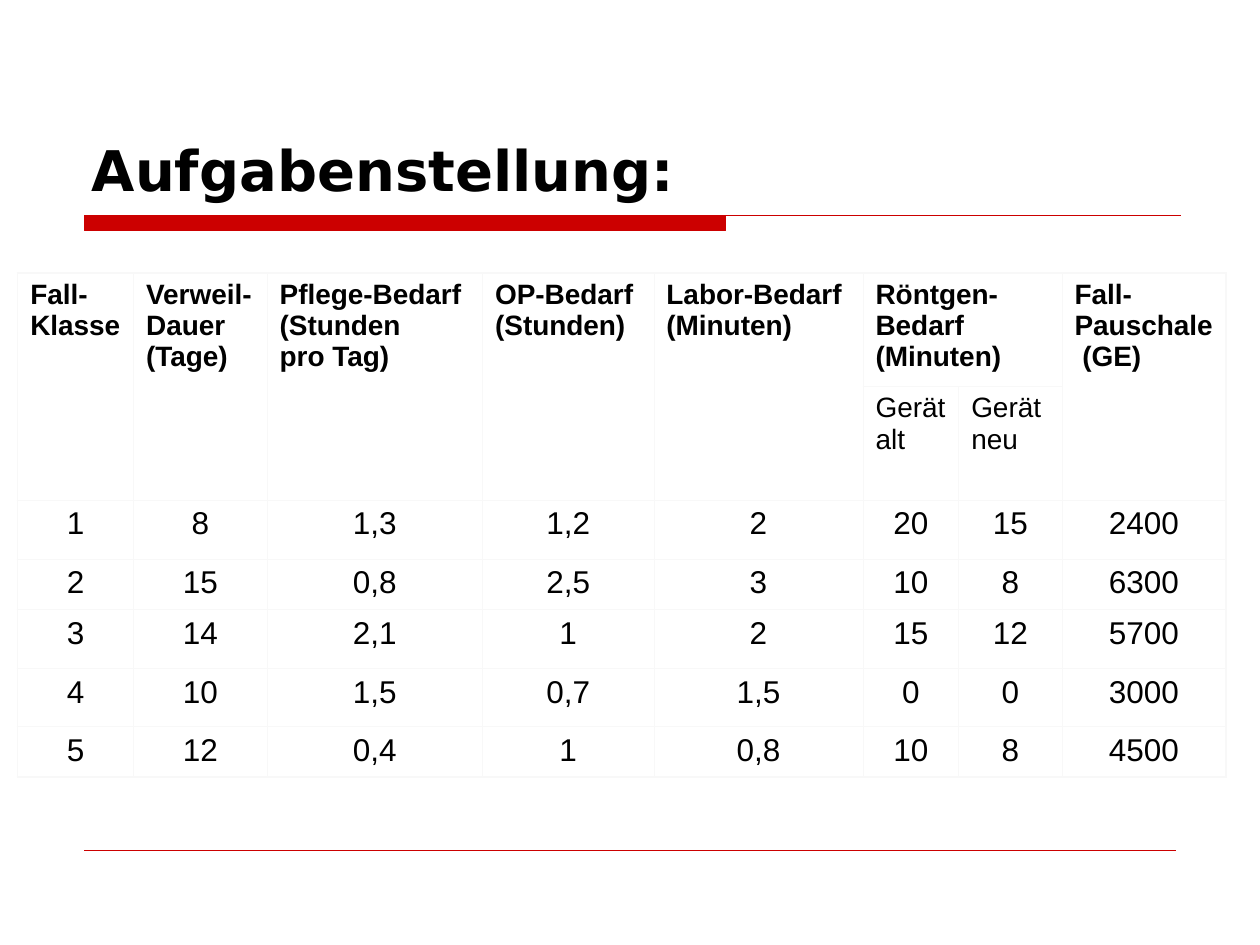
import pptx
import pptx.util
import pptx.dml.color
import pptx.enum.shapes
import pptx.enum.text
import pptx.oxml
import pptx.oxml.ns

THEME = {
    "title": {"name": "DejaVu Sans", "size": pptx.util.Pt(32), "bold": True},
    "head": {"name": "Arial", "size": pptx.util.Pt(16), "bold": True},
    "subhead": {"name": "Arial", "size": pptx.util.Pt(16), "bold": False},
    "body": {"name": "Arial", "size": pptx.util.Pt(18), "bold": False},
    "text": pptx.dml.color.RGBColor.from_string("000000"),
    "accent": pptx.dml.color.RGBColor.from_string("CC0000"),
    "grid": "F8F8F8",
}
INCH = pptx.util.Inches(1)


def write(tf, lines, style, align=pptx.enum.text.PP_ALIGN.LEFT):
    """Fill a text frame with one paragraph per line."""
    for i, line in enumerate(lines):
        p = tf.paragraphs[0] if i == 0 else tf.add_paragraph()
        p.alignment = align
        r = p.add_run()
        r.text = line
        for key, value in THEME[style].items():
            setattr(r.font, key, value)
        r.font.color.rgb = THEME["text"]


def set_borders(cell, widths):
    """Draw the cell's borders; widths maps L, R, T, B to points."""
    tcPr = cell._tc.get_or_add_tcPr()
    for i, (side, width) in enumerate(widths.items()):
        tcPr.insert(i, pptx.oxml.parse_xml(
            f'<a:ln{side} {pptx.oxml.ns.nsdecls("a")} w="{pptx.util.Pt(width)}">'
            f'<a:solidFill><a:srgbClr val="{THEME["grid"]}"/></a:solidFill></a:ln{side}>'))


prs = pptx.Presentation()
prs.slide_width, prs.slide_height = 10 * INCH, int(7.5 * INCH)
W, H = prs.slide_width, prs.slide_height
s = prs.slides.add_slide(prs.slide_layouts[6])

# Red bar that runs on as a thin rule
left, bar_right, rule_right = (int(W * x) for x in (0.067, 0.576, 0.937))
top, bottom = int(H * 0.228), int(H * 0.244)
fb = s.shapes.build_freeform(left, top)
fb.add_line_segments([(bar_right, top), (bar_right, bottom), (left, bottom)], close=True)
fb.move_to(left, top)
fb.add_line_segments([(rule_right, top)], close=False)
sp = fb.convert_to_shape()
sp.shadow.inherit = False
sp.fill.solid()
sp.fill.fore_color.rgb = THEME["accent"]
sp.line.color.rgb = THEME["accent"]
sp.line.width = pptx.util.Pt(0.75)

# Footer rule
y = int(H * 0.9)
rule = s.shapes.add_connector(pptx.enum.shapes.MSO_CONNECTOR.STRAIGHT,
                              left, y, W - left, y)
rule.line.color.rgb = THEME["accent"]
rule.line.width = pptx.util.Pt(0.25)
rule._element.spPr.append(
    pptx.oxml.parse_xml(f'<a:effectLst {pptx.oxml.ns.nsdecls("a")}/>'))

# Title
tf = s.shapes.add_textbox(int(W * 0.063), int(H * 0.044),
                          int(W * 0.875), int(H * 0.177)).text_frame
tf.word_wrap = True
tf.vertical_anchor = pptx.enum.text.MSO_ANCHOR.BOTTOM
write(tf, ["Aufgabenstellung:"], "title")

# Table contents: two header rows, then one row per case class
heads = [
    ["Fall-", "Klasse"],
    ["Verweil-", "Dauer", "(Tage)"],
    ["Pflege-Bedarf", "(Stunden", "pro Tag)"],
    ["OP-Bedarf", "(Stunden)"],
    ["Labor-Bedarf", "(Minuten)"],
    ["Röntgen-", "Bedarf", "(Minuten)"],
    [],
    ["Fall-", "Pauschale", " (GE)"],
]
subheads = {5: ["Gerät", "alt"], 6: ["Gerät", "neu"]}
cases = [
    ["1", "8", "1,3", "1,2", "2", "20", "15", "2400"],
    ["2", "15", "0,8", "2,5", "3", "10", "8", "6300"],
    ["3", "14", "2,1", "1", "2", "15", "12", "5700"],
    ["4", "10", "1,5", "0,7", "1,5", "0", "0", "3000"],
    ["5", "12", "0,4", "1", "0,8", "10", "8", "4500"],
]
col_widths = [0.92, 1.06, 1.71, 1.36, 1.66, 0.76, 0.82, 1.3]
row_heights = [0.9, 0.9, 0.47, 0.4, 0.47, 0.46, 0.4]
n_rows, n_cols = len(row_heights), len(col_widths)

frame = s.shapes.add_table(n_rows, n_cols, int(W * 0.014), int(H * 0.289),
                           int(sum(col_widths) * INCH), int(sum(row_heights) * INCH))
table = frame.table
table.first_row = table.horz_banding = False
for col, width in zip(table.columns, col_widths):
    col.width = int(width * INCH)
for row, height in zip(table.rows, row_heights):
    row.height = int(height * INCH)

# Plain cells, with a heavier outer border
for r in range(n_rows):
    for c in range(n_cols):
        cell = table.cell(r, c)
        cell.fill.background()
        outer = {"L": c == 0, "R": c == n_cols - 1, "T": r == 0, "B": r == n_rows - 1}
        set_borders(cell, {side: 0.96 if edge else 0.45 for side, edge in outer.items()})

# Headers: the X-ray column splits in two, the others span both rows
for c, lines in enumerate(heads):
    write(table.cell(0, c).text_frame, lines, "head")
    if c in subheads:
        write(table.cell(1, c).text_frame, subheads[c], "subhead")
    else:
        table.cell(0, c).merge(table.cell(1, c))
table.cell(0, 5).merge(table.cell(0, 6))

# Values
for r, values in enumerate(cases, start=2):
    for c, value in enumerate(values):
        write(table.cell(r, c).text_frame, [value], "body", pptx.enum.text.PP_ALIGN.CENTER)

prs.save("out.pptx")
